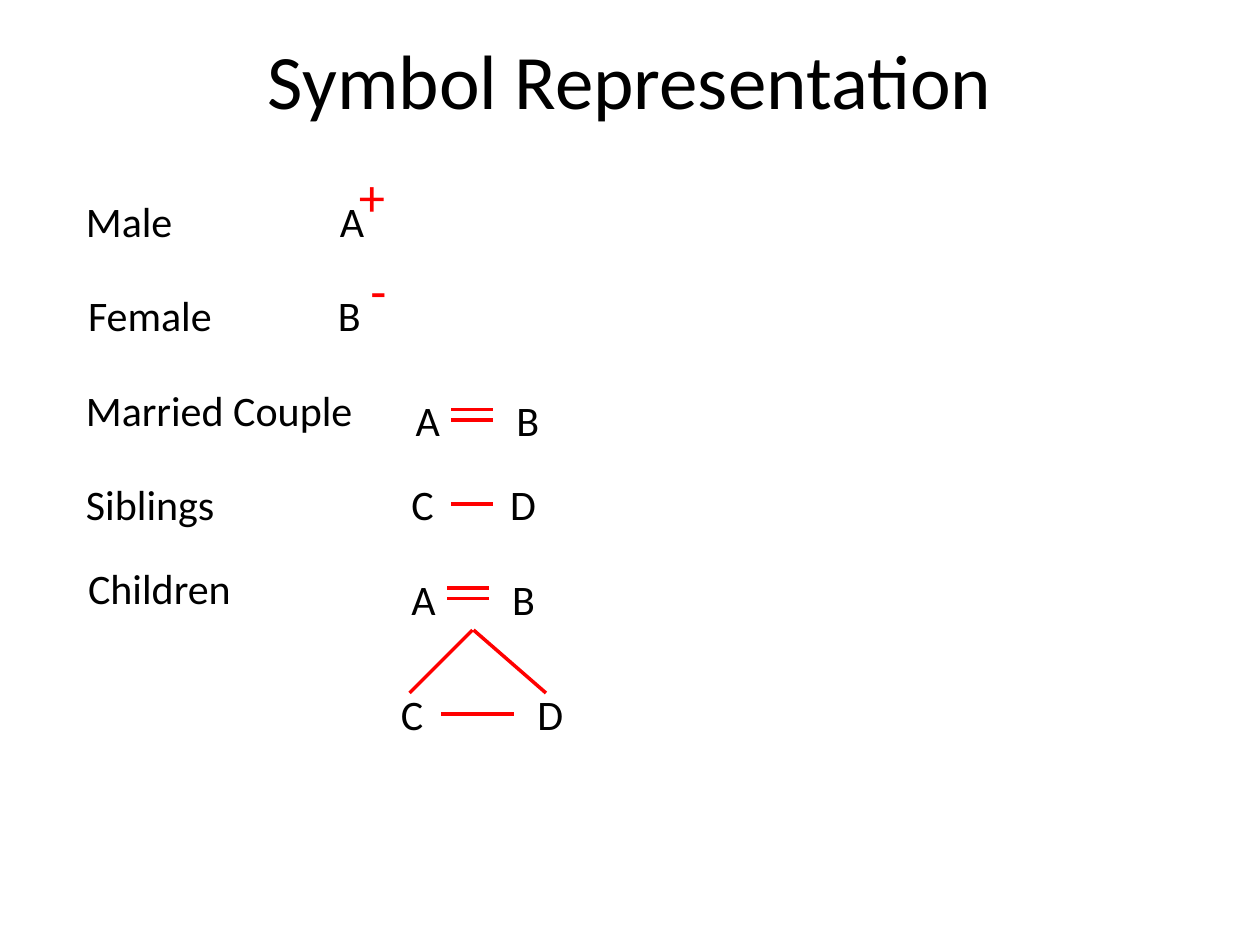
from lxml.etree import SubElement
from pptx import Presentation
from pptx.dml.color import RGBColor
from pptx.enum.shapes import MSO_CONNECTOR
from pptx.enum.text import MSO_ANCHOR, MSO_AUTO_SIZE, PP_ALIGN
from pptx.oxml.ns import qn
from pptx.util import Pt

PX = 7620  # EMU per px, 120 px to the inch
BLACK, RED = "000000", "FF0000"


def style(para, size, color):
    para.font.name = "Calibri"
    para.font.size = Pt(size)
    para.font.color.rgb = RGBColor.from_string(color)


deck = Presentation()
deck.slide_width, deck.slide_height = 1200 * PX, 900 * PX
page = deck.slides.add_slide(deck.slide_layouts[5])

title = page.shapes.title
title.left, title.top, title.width, title.height = 60 * PX, 0, 1080 * PX, 150 * PX
title.text_frame.text = "Symbol Representation"
title.text_frame.vertical_anchor = MSO_ANCHOR.MIDDLE
title.text_frame.paragraphs[0].alignment = PP_ALIGN.CENTER
style(title.text_frame.paragraphs[0], 44, BLACK)

# text, left, top, width, height, size, colour, tab stop of the second letter
texts = [
    ("Male", 70, 180, 108, 60, 24, BLACK, 0),
    ("A", 312, 180, 48, 60, 24, BLACK, 0),
    ("+", 330, 150, 49, 73, 30, RED, 0),
    ("Female", 72, 270, 143, 60, 24, BLACK, 0),
    ("B", 310, 270, 46, 60, 24, BLACK, 0),
    ("-", 341, 240, 40, 73, 30, RED, 0),
    ("Married Couple", 70, 360, 281, 60, 24, BLACK, 0),
    ("A\tB", 384, 370, 142, 60, 24, BLACK, 96),
    ("Siblings", 70, 450, 148, 60, 24, BLACK, 0),
    ("C\tD", 380, 450, 143, 60, 24, BLACK, 94),
    ("Children", 72, 530, 162, 60, 24, BLACK, 0),
    ("A\tB", 380, 540, 142, 60, 24, BLACK, 96),
    ("C\tD", 370, 650, 179, 60, 24, BLACK, 130),
]
for text, left, top, width, height, size, color, tab in texts:
    box = page.shapes.add_textbox(left * PX, top * PX, width * PX, height * PX)
    frame = box.text_frame
    frame.word_wrap = False
    frame.auto_size = MSO_AUTO_SIZE.SHAPE_TO_FIT_TEXT
    para = frame.paragraphs[0]
    para.text = text
    style(para, size, color)
    if tab:
        tabs = para._p.get_or_add_pPr()
        tab_list = tabs.makeelement(qn("a:tabLst"), {})
        tabs.insert(0, tab_list)  # tab stops come before the default run format
        SubElement(tab_list, qn("a:tab"), pos=str(tab * PX), algn="l")

lines = [
    (430, 390, 470, 390), (430, 400, 470, 400),  # married couple
    (430, 480, 470, 480),  # siblings
    (426, 560, 466, 560), (426, 570, 466, 570),  # parents
    (450, 600, 390, 660), (451, 600, 520, 660),  # descent
    (420, 680, 490, 680),  # their children
]
for ends in lines:
    line = page.shapes.add_connector(MSO_CONNECTOR.STRAIGHT, *(end * PX for end in ends))
    line.line.color.rgb = RGBColor.from_string(RED)
    line.line.width = Pt(2)
    SubElement(line._element.spPr, qn("a:effectLst"))

deck.save("out.pptx")
